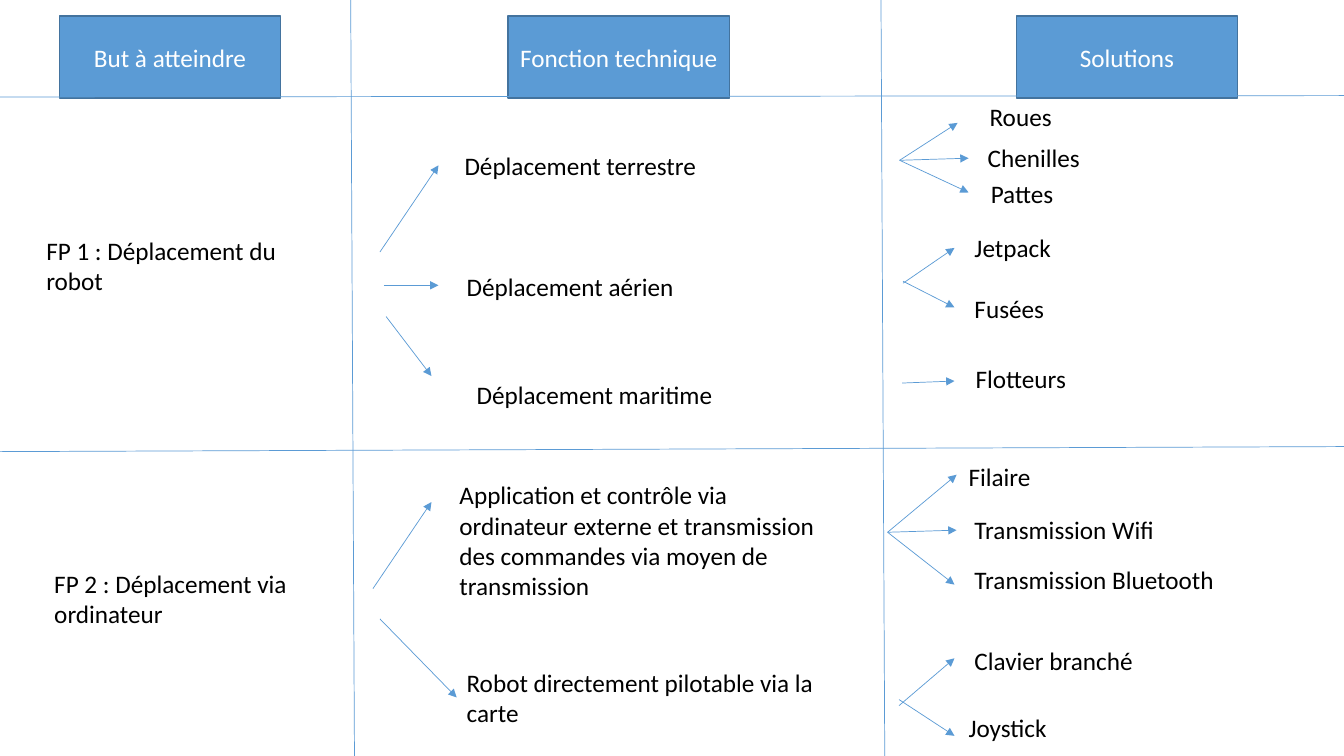
from lxml.etree import SubElement
from pptx import Presentation
from pptx.dml.color import RGBColor
from pptx.enum.shapes import MSO_CONNECTOR as Connector, MSO_SHAPE as Shape
from pptx.enum.text import MSO_ANCHOR as Anchor, MSO_AUTO_SIZE as AutoSize, PP_ALIGN as Align
from pptx.oxml.ns import qn
from pptx.util import Pt

# Content: lengths in points
COLORS = {"blue": "5B9BD5", "border": "43739E", "text": "000000", "header_text": "FFFFFF"}
SLIDE_W, SLIDE_H = 960, 540

HEADERS = [("But à atteindre", 42.5), ("Fonction technique", 363), ("Solutions", 726)]
HEADER_TOP, HEADER_W, HEADER_H = 11.5, 158, 58.5

DIVIDERS = [
    ((250.5, 0), (253.2, SLIDE_H)),
    ((629.3, 0), (632, SLIDE_H)),
    ((0, 69.3), (SLIDE_W, 68.3)),
    ((0, 322.6), (SLIDE_W, 319)),
]

# Each entry: text, line count, (left, top), arrow start, arrow end
GOALS = [
    ("FP 1 : Déplacement du robot", 2, (26, 164.2), None, None),
    ("FP 2 : Déplacement via ordinateur", 2, (31.7, 402.5), None, None),
]
FUNCTIONS = [
    ("Déplacement terrestre", 1, (324.7, 103.7), (271.4, 180), (313.2, 118.1)),
    ("Déplacement aérien", 1, (326.2, 190.1), (274.3, 203.8), (313.2, 203.8)),
    ("Déplacement maritime", 1, (333.4, 267.1), (275.8, 226.1), (308.2, 268.6)),
    ("Application et contrôle via ordinateur externe et transmission "
     "des commandes via moyen de transmission", 4, (321.1, 339.1), (266.4, 420.5), (308.2, 358.6)),
    ("Robot directement pilotable via la carte", 2, (326.2, 473), (271.4, 442.1), (326.2, 498.2)),
]
SOLUTIONS = [
    ("Roues", 1, (699.8, 69.1), (642.6, 114.5), (684, 87.8)),
    ("Chenilles", 1, (698.4, 98.3), (642.6, 114.5), (691.9, 113)),
    ("Pattes", 1, (700.6, 123.8), (642.6, 114.5), (691.9, 137.5)),
    ("Jetpack", 1, (689, 162.7), (645.1, 202.3), (681.8, 177.1)),
    ("Fusées", 1, (689, 205.9), (645.1, 200.9), (681.8, 219.6)),
    ("Flotteurs", 1, (689.8, 256.3), (644.4, 273.6), (681.8, 272.2)),
    ("Filaire", 1, (684.7, 326.2), (634, 380.2), (683.3, 339.1)),
    ("Transmission Wifi", 1, (689, 363.6), (634, 380.2), (683.3, 378.7)),
    ("Transmission Bluetooth", 1, (689, 399.6), (634, 380.2), (681.8, 417.6)),
    ("Clavier branché", 1, (689, 457.2), (642.2, 504), (681.8, 470.2)),
    ("Joystick", 1, (684.7, 505.4), (642.2, 499.7), (681.8, 525.6)),
]
COLUMNS = [(199.4, GOALS), (286.6, FUNCTIONS), (231.1, SOLUTIONS)]
LINE_H, TEXT_PADDING = 21.8, 7.3


def color(name):
    return RGBColor.from_string(COLORS[name])


def write(frame, text, color_name, align):
    frame.word_wrap = True
    paragraph = frame.paragraphs[0]
    paragraph.text = text
    paragraph.alignment = align
    font = paragraph.font
    font.size, font.name = Pt(18), "Calibri"
    font.color.rgb = color(color_name)


def add_line(start, end, arrow=False):
    line = slide.shapes.add_connector(Connector.STRAIGHT, *map(Pt, start + end))
    line.line.color.rgb = color("blue")
    line.line.width = Pt(0.5)
    if arrow:
        SubElement(line.line._get_or_add_ln(), qn("a:tailEnd"), type="triangle")
    SubElement(line._element.spPr, qn("a:effectLst"))


deck = Presentation()
deck.slide_width, deck.slide_height = Pt(SLIDE_W), Pt(SLIDE_H)
slide = deck.slides.add_slide(deck.slide_layouts[6])

# Column headers
for title, left in HEADERS:
    header = slide.shapes.add_shape(
        Shape.RECTANGLE, Pt(left), Pt(HEADER_TOP), Pt(HEADER_W), Pt(HEADER_H))
    header.shadow.inherit = False
    header.fill.solid()
    header.fill.fore_color.rgb = color("blue")
    header.line.color.rgb = color("border")
    header.line.width = Pt(1)
    header.text_frame.vertical_anchor = Anchor.MIDDLE
    write(header.text_frame, title, "header_text", Align.CENTER)

# Grid dividers
for start, end in DIVIDERS:
    add_line(start, end)

# Entries, each with the arrow that leads to it
for width, entries in COLUMNS:
    for text, lines, (left, top), start, end in entries:
        height = TEXT_PADDING + lines * LINE_H
        entry = slide.shapes.add_textbox(Pt(left), Pt(top), Pt(width), Pt(height))
        write(entry.text_frame, text, "text", Align.LEFT)
        entry.text_frame.auto_size = AutoSize.SHAPE_TO_FIT_TEXT
        if start:
            add_line(start, end, arrow=True)

deck.save("out.pptx")
